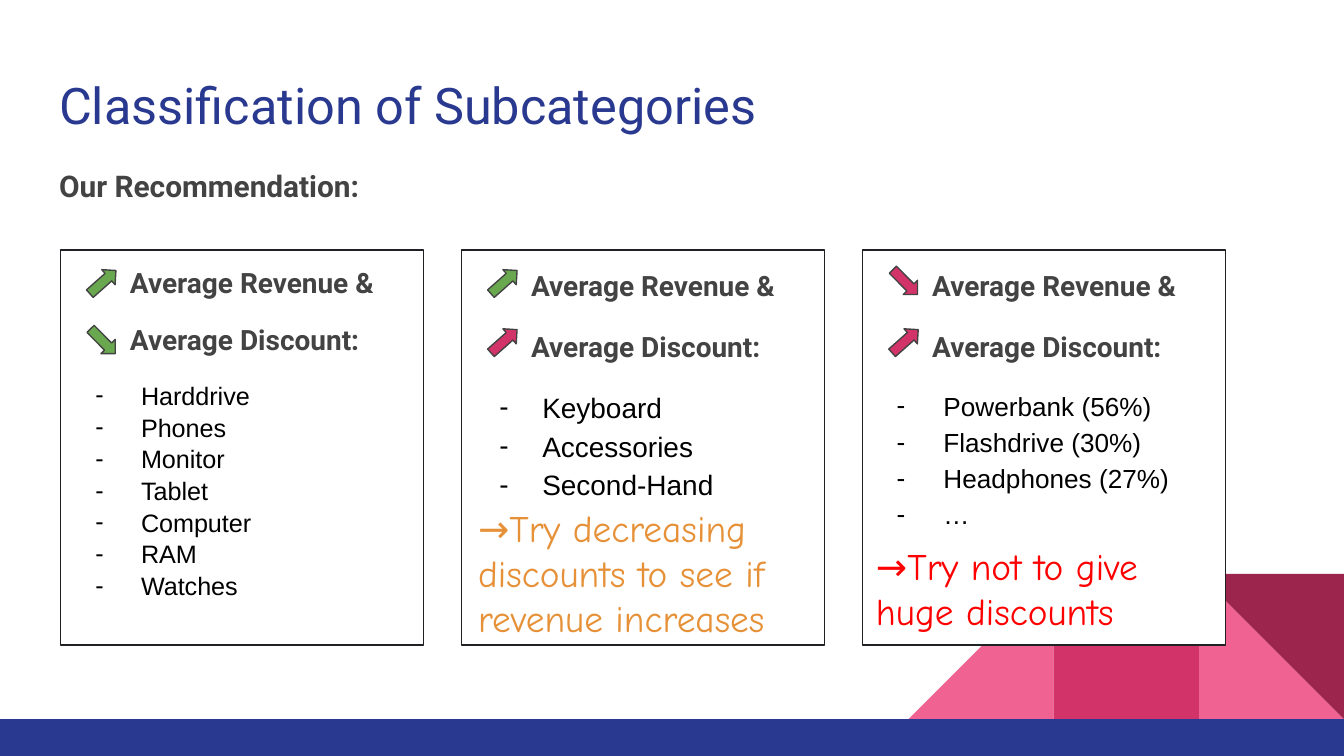
from dataclasses import dataclass

from lxml import etree
from pptx import Presentation
from pptx.dml.color import RGBColor
from pptx.enum.shapes import MSO_SHAPE
from pptx.enum.text import MSO_ANCHOR, MSO_AUTO_SIZE, PP_ALIGN
from pptx.oxml.ns import qn
from pptx.util import Pt


@dataclass(frozen=True)
class Theme:
    navy: str = "2A3990"
    pink: str = "F06292"
    magenta: str = "D23369"
    wine: str = "9C254D"
    green: str = "6AA84F"
    gray: str = "434343"
    border: str = "202124"
    black: str = "000000"
    white: str = "FFFFFF"
    orange: str = "E69138"
    red: str = "FF0000"
    heading_font: str = "Roboto"
    list_font: str = "Arial"
    advice_font: str = "Comic Neue"
    title_size: float = 27
    subtitle_size: float = 16
    card_size: float = 15
    advice_size: float = 20


THEME = Theme()
SLIDE_WIDTH, SLIDE_HEIGHT = 720, 405
CARD_LEFT, CARD_TOP, CARD_STEP = 32.4, 134, 214.9
CARD_WIDTH, CARD_HEIGHT = 194.4, 211.6
ARROW_OFFSET, ARROW_TOP, ARROW_STEP = 17.3, 141.8, 31.7
UP, DOWN = 48.5, 135.2

# List size, hanging indent, line spacing, trend arrows, items
CARDS = [
    (13.5, 24.5, 1.05, [(UP, THEME.green), (DOWN, THEME.green)],
     ["Harddrive", "Phones", "Monitor", "Tablet", "Computer", "RAM", "Watches"]),
    (15, 23, 1.15, [(UP, THEME.green), (UP, THEME.magenta)],
     ["Keyboard", "Accessories", "Second-Hand"]),
    (14, 25, 1.15, [(DOWN, THEME.magenta), (UP, THEME.magenta)],
     ["Powerbank (56%)", "Flashdrive (30%)", "Headphones (27%)", "…"]),
]
ADVICE = [
    ((249, 263.5, 193, 87),
     "→Try decreasing discounts to see if revenue increases", THEME.orange),
    ((462.2, 283.7, 199.4, 63.4),
     "→Try not to give huge discounts", THEME.red),
]


def rgb(code):
    return RGBColor.from_string(code)


def place(shape, box):
    shape.left, shape.top, shape.width, shape.height = map(Pt, box)


def add_filled(slide, kind, box, color, rotation=0, outline=None):
    shape = slide.shapes.add_shape(kind, *map(Pt, box))
    shape.shadow.inherit = False
    shape.rotation = rotation
    shape.fill.solid()
    shape.fill.fore_color.rgb = rgb(color)
    if outline:
        shape.line.color.rgb = rgb(outline)
        shape.line.width = Pt(0.75)
    else:
        shape.line.fill.background()


def prepare_frame(shape):
    frame = shape.text_frame
    frame.word_wrap = True
    frame.auto_size = MSO_AUTO_SIZE.NONE
    frame.vertical_anchor = MSO_ANCHOR.TOP
    frame.margin_left = frame.margin_right = Pt(7.2)
    frame.margin_top = frame.margin_bottom = Pt(7.2)
    return frame


def raise_placeholder(placeholder, box):
    """Move a placeholder in front of everything drawn so far."""
    place(placeholder, box)
    placeholder.element.getparent().append(placeholder.element)
    return prepare_frame(placeholder)


def write(paragraph, text, font, size, color, bold=False, before=0, after=0,
          spacing=1.0, margin=0, hanging=0):
    """Write one paragraph; a hanging indent gives it a dash."""
    paragraph.alignment = PP_ALIGN.LEFT
    paragraph.line_spacing = spacing
    paragraph.space_before, paragraph.space_after = Pt(before), Pt(after)
    properties = paragraph._p.get_or_add_pPr()
    properties.set("marL", str(Pt(margin)))
    properties.set("indent", str(-Pt(hanging)))
    if hanging:
        bullet_color = etree.SubElement(properties, qn("a:buClr"))
        etree.SubElement(bullet_color, qn("a:srgbClr"), val=color)
        etree.SubElement(properties, qn("a:buChar"), char="-")
    else:
        etree.SubElement(properties, qn("a:buNone"))
    run = paragraph.add_run()
    run.text = text
    run.font.name, run.font.size, run.font.bold = font, Pt(size), bold
    run.font.color.rgb = rgb(color)


def add_backdrop(slide):
    side, band_top = 77.75, 385.2
    top = band_top - side
    tiles = [
        (1, MSO_SHAPE.RIGHT_TRIANGLE, THEME.pink, 0),
        (3, MSO_SHAPE.RIGHT_TRIANGLE, THEME.pink, 270),
        (2, MSO_SHAPE.RECTANGLE, THEME.magenta, 0),
        (1, MSO_SHAPE.RIGHT_TRIANGLE, THEME.wine, 180),
    ]
    for steps, kind, color, rotation in tiles:
        add_filled(slide, kind, (SLIDE_WIDTH - steps * side, top, side, side),
                   color, rotation)
    add_filled(slide, MSO_SHAPE.RECTANGLE,
               (0, band_top, SLIDE_WIDTH, SLIDE_HEIGHT - band_top), THEME.navy)


def add_card(slide, placeholder, left, card):
    list_size, hanging, spacing, arrows, items = card
    frame = raise_placeholder(placeholder, (left, CARD_TOP, CARD_WIDTH, CARD_HEIGHT))
    placeholder.fill.solid()
    placeholder.fill.fore_color.rgb = rgb(THEME.white)
    placeholder.line.color.rgb = rgb(THEME.border)
    placeholder.line.width = Pt(0.75)

    write(frame.paragraphs[0], "Average Revenue &", THEME.heading_font,
          THEME.card_size, THEME.gray, bold=True, spacing=spacing, margin=30)
    write(frame.add_paragraph(), "Average Discount:", THEME.heading_font,
          THEME.card_size, THEME.gray, bold=True, before=12, spacing=spacing, margin=30)
    for index, item in enumerate(items):
        write(frame.add_paragraph(), item, THEME.list_font, list_size, THEME.black,
              before=0 if index else 12, spacing=spacing, margin=36, hanging=hanging)

    for row, (direction, color) in enumerate(arrows):
        box = (left + ARROW_OFFSET, ARROW_TOP + row * ARROW_STEP, 10.8, 18.7)
        add_filled(slide, MSO_SHAPE.UP_ARROW, box, color, direction, THEME.gray)


def add_advice(slide, box, text, color):
    frame = prepare_frame(slide.shapes.add_textbox(*map(Pt, box)))
    write(frame.paragraphs[0], text, THEME.advice_font, THEME.advice_size, color)


def main():
    deck = Presentation()
    deck.slide_width, deck.slide_height = Pt(SLIDE_WIDTH), Pt(SLIDE_HEIGHT)
    comparison = deck.slide_layouts.get_by_name("Comparison")
    slide = deck.slides.add_slide(comparison)
    title, subtitle, *card_bodies = list(slide.placeholders)[:5]

    add_backdrop(slide)
    write(raise_placeholder(title, (24.5, 32.4, 671, 47.5)).paragraphs[0],
          "Classification of Subcategories", THEME.heading_font,
          THEME.title_size, THEME.navy)
    write(raise_placeholder(subtitle, (24.5, 80, 671, 41)).paragraphs[0],
          "Our Recommendation:", THEME.heading_font, THEME.subtitle_size,
          THEME.gray, bold=True, after=12, spacing=1.15)
    for column, (body, card) in enumerate(zip(card_bodies, CARDS)):
        add_card(slide, body, CARD_LEFT + column * CARD_STEP, card)
    for box, text, color in ADVICE:
        add_advice(slide, box, text, color)
    deck.save("out.pptx")


if __name__ == "__main__":
    main()
